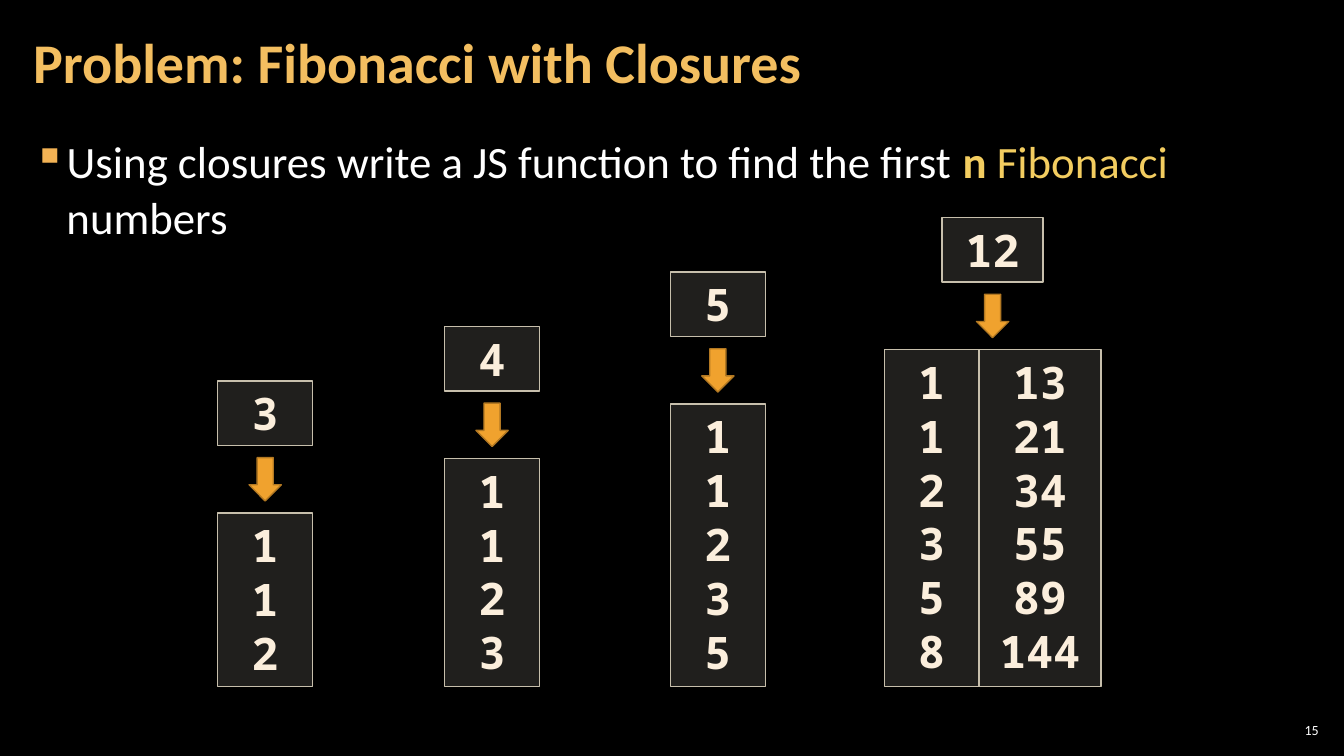
"""Build the slide that shows the Fibonacci closures problem with four sample inputs."""
from lxml.etree import SubElement
from pptx import Presentation
from pptx.dml.color import RGBColor
from pptx.enum.shapes import MSO_SHAPE
from pptx.enum.text import MSO_ANCHOR, MSO_AUTO_SIZE, PP_ALIGN
from pptx.oxml.ns import qn
from pptx.util import Inches, Pt

BLACK = RGBColor(0x00, 0x00, 0x00)
WHITE = RGBColor(0xFF, 0xFF, 0xFF)
TITLE_GOLD = RGBColor(0xF3, 0xBE, 0x60)
KEYWORD_GOLD = RGBColor(0xF3, 0xCD, 0x60)
BULLET_GOLD = RGBColor(0xF2, 0xB2, 0x54)
BOX_FILL = RGBColor(0xD9, 0xD5, 0xC7)
BOX_LINE = RGBColor(0xC7, 0xBF, 0xAC)
NUMBER_CREAM = RGBColor(0xFB, 0xEE, 0xDC)
ARROW_FILL = RGBColor(0xF0, 0xA2, 0x2E)
ARROW_LINE = RGBColor(0xB2, 0x78, 0x22)

TITLE = "Problem: Fibonacci with Closures"
TASK = [
    ("Using closures write a JS function to find the first ", WHITE, False),
    ("n ", KEYWORD_GOLD, True),
    ("Fibonacci", KEYWORD_GOLD, False),
    (" numbers", WHITE, False),
]
PAGE_NUMBER = "15"
EXAMPLES = [
    {"input": "3", "left": 2.16, "input_width": 0.94,
     "columns": [(0.94, ["1", "1", "2"])]},
    {"input": "4", "left": 4.41, "input_width": 0.94,
     "columns": [(0.94, ["1", "1", "2", "3"])]},
    {"input": "5", "left": 6.65, "input_width": 0.94,
     "columns": [(0.94, ["1", "1", "2", "3", "5"])]},
    {"input": "12", "left": 8.77, "input_width": 1.0,
     "columns": [(0.94, ["1", "1", "2", "3", "5", "8"]),
                 (1.21, ["13", "21", "34", "55", "89", "144"])]},
]

RESULT_BOTTOM = 6.81
ROW_HEIGHT = 0.54
BOX_PADDING = 0.1
ARROW_WIDTH, ARROW_HEIGHT = 0.32, 0.43
ARROW_RISE, INPUT_RISE = 0.55, 1.31


def add_run(paragraph, text, font_name, size, color, bold=False):
    run = paragraph.add_run()
    run.text = text
    run.font.name = font_name
    run.font.size = Pt(size)
    run.font.bold = bold
    run.font.color.rgb = color


def add_text_frame(slide, left, top, width, height, side_inset, anchor):
    box = slide.shapes.add_textbox(Inches(left), Inches(top), Inches(width), Inches(height))
    frame = box.text_frame
    frame.word_wrap = True
    frame.vertical_anchor = anchor
    frame.margin_left = frame.margin_right = Inches(side_inset)
    frame.margin_top = frame.margin_bottom = Inches(0.04)
    return frame


def add_outlined(slide, kind, left, top, width, height, fill, line):
    shape = slide.shapes.add_shape(kind, Inches(left), Inches(top), Inches(width), Inches(height))
    shape.shadow.inherit = False
    shape.fill.solid()
    shape.fill.fore_color.rgb = fill
    shape.line.color.rgb = line
    shape.line.width = Pt(1)
    return shape


def add_number_box(slide, left, top, width, numbers):
    height = ROW_HEIGHT * len(numbers) + BOX_PADDING
    box = add_outlined(slide, MSO_SHAPE.RECTANGLE, left, top, width, height, BOX_FILL, BOX_LINE)
    color = box.fill._xPr.find(qn("a:solidFill"))[0]
    SubElement(color, qn("a:alpha"), val="15000")
    frame = box.text_frame
    frame.word_wrap = True
    frame.auto_size = MSO_AUTO_SIZE.SHAPE_TO_FIT_TEXT
    frame.vertical_anchor = MSO_ANCHOR.TOP
    for index, number in enumerate(numbers):
        paragraph = frame.add_paragraph() if index else frame.paragraphs[0]
        paragraph.alignment = PP_ALIGN.CENTER
        add_run(paragraph, number, "Noto Sans Mono", 32, NUMBER_CREAM, True)


def add_example(slide, example):
    columns = example["columns"]
    center = example["left"] + sum(width for width, _ in columns) / 2
    rows = max(len(numbers) for _, numbers in columns)
    result_top = RESULT_BOTTOM - ROW_HEIGHT * rows - BOX_PADDING

    input_width = example["input_width"]
    add_number_box(slide, center - input_width / 2, result_top - INPUT_RISE,
                   input_width, [example["input"]])
    add_outlined(slide, MSO_SHAPE.DOWN_ARROW, center - ARROW_WIDTH / 2,
                 result_top - ARROW_RISE, ARROW_WIDTH, ARROW_HEIGHT, ARROW_FILL, ARROW_LINE)
    left = example["left"]
    for width, numbers in columns:
        add_number_box(slide, left, result_top, width, numbers)
        left += width


def add_task(slide):
    paragraph = add_text_frame(slide, 0.21, 1.26, 12.44, 6.09, 0.12, MSO_ANCHOR.TOP).paragraphs[0]
    paragraph.line_spacing = 1.05
    paragraph.space_after = Pt(6)
    properties = paragraph._p.get_or_add_pPr()
    properties.set("marL", str(Inches(0.33)))
    properties.set("indent", str(-Inches(0.33)))
    bullet_color = SubElement(properties, qn("a:buClr"))
    SubElement(bullet_color, qn("a:srgbClr"), val=str(BULLET_GOLD))
    SubElement(properties, qn("a:buChar"), char="▪")
    for text, color, bold in TASK:
        add_run(paragraph, text, "Calibri", 32, color, bold)


def main():
    presentation = Presentation()
    presentation.slide_width = Inches(13.33)
    presentation.slide_height = Inches(7.5)
    slide = presentation.slides.add_slide(presentation.slide_layouts[6])
    slide.background.fill.solid()
    slide.background.fill.fore_color.rgb = BLACK

    page = add_text_frame(slide, 12.65, 7.14, 0.47, 0.21, 0.04, MSO_ANCHOR.MIDDLE).paragraphs[0]
    page.alignment = PP_ALIGN.RIGHT
    add_run(page, PAGE_NUMBER, "Calibri", 10, WHITE)
    add_task(slide)
    title = add_text_frame(slide, 0.21, 0.04, 10.47, 1.21, 0.12, MSO_ANCHOR.MIDDLE).paragraphs[0]
    title.line_spacing = 0.9
    add_run(title, TITLE, "Calibri", 40, TITLE_GOLD, True)
    for example in EXAMPLES:
        add_example(slide, example)

    presentation.save("out.pptx")


if __name__ == "__main__":
    main()
